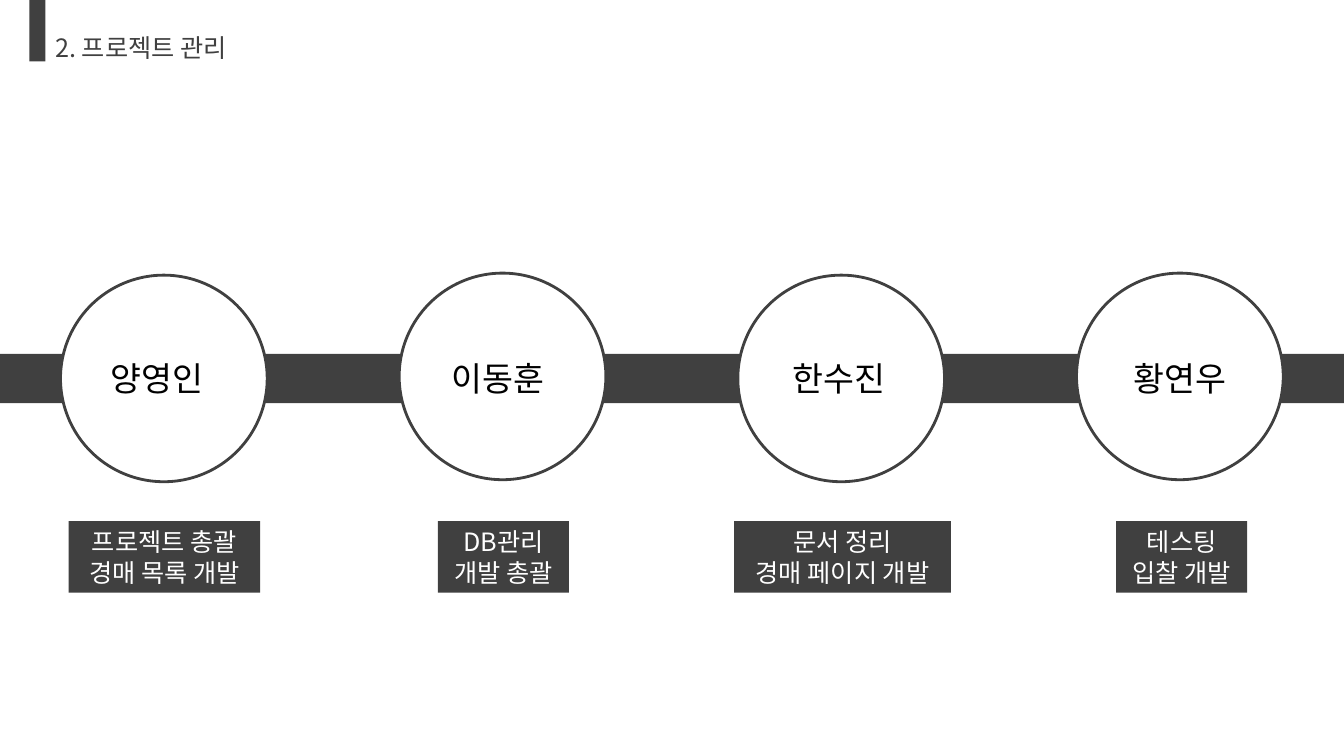
"""Build the project management slide: four members along a band, with their duties."""
from dataclasses import dataclass

import pptx
import pptx.dml.color
import pptx.enum.shapes
import pptx.enum.text
import pptx.oxml.ns
import pptx.shapes.autoshape
import pptx.slide
import pptx.util
from lxml import etree

SLIDE_WIDTH = pptx.util.Inches(13.33)
SLIDE_HEIGHT = pptx.util.Inches(7.5)
FONT = "Noto Sans CJK KR"
DARK, WHITE, BLACK = "404040", "FFFFFF", "000000"
RECTANGLE = pptx.enum.shapes.MSO_SHAPE.RECTANGLE
OVAL = pptx.enum.shapes.MSO_SHAPE.OVAL
LEFT = pptx.enum.text.PP_ALIGN.LEFT
CENTER = pptx.enum.text.PP_ALIGN.CENTER

CIRCLE_CENTER, CIRCLE_PITCH = 12.19, 25.2
NAME_LEFT, NAME_PITCH = 7.5, 25.36
DUTY_CENTER, DUTY_PITCH = 12.23, 25.23


@dataclass(frozen=True)
class Area:
    left: float
    top: float
    width: float
    height: float

    def lengths(self) -> tuple[int, int, int, int]:
        across, down = SLIDE_WIDTH / 100, SLIDE_HEIGHT / 100
        return (round(self.left * across), round(self.top * down),
                round(self.width * across), round(self.height * down))


@dataclass(frozen=True)
class Member:
    name: str
    duties: tuple[str, ...]
    circle_top: float
    duty_width: float


MEMBERS = (
    Member("양영인", ("프로젝트 총괄", "경매 목록 개발"), 36.4, 14.25),
    Member("이동훈", ("DB관리", "개발 총괄"), 36.13, 9.75),
    Member("한수진", ("문서 정리", "경매 페이지 개발"), 36.4, 16.13),
    Member("황연우", ("테스팅", "입찰 개발"), 36.13, 9.75),
)


def color(value: str) -> pptx.dml.color.RGBColor:
    return pptx.dml.color.RGBColor.from_string(value)


def add_block(page: pptx.slide.Slide, area: Area, kind=RECTANGLE, *, fill: str = DARK,
              line: str | None = None) -> pptx.shapes.autoshape.Shape:
    block = page.shapes.add_shape(kind, *area.lengths())
    block.shadow.inherit = False
    block.fill.solid()
    block.fill.fore_color.rgb = color(fill)
    if line:
        block.line.color.rgb = color(line)
        block.line.width = pptx.util.Pt(2)
    else:
        block.line.fill.background()
    return block


def write_text(box: pptx.shapes.autoshape.Shape, *lines: str, size: float = 18,
               ink: str = DARK, align=LEFT, wrap: bool = False) -> None:
    frame = box.text_frame
    frame.word_wrap = wrap
    frame.auto_size = pptx.enum.text.MSO_AUTO_SIZE.SHAPE_TO_FIT_TEXT
    for index, line in enumerate(lines):
        para = frame.add_paragraph() if index else frame.paragraphs[0]
        para.alignment = align
        span = para.add_run()
        span.text = line
        span.font.size = pptx.util.Pt(size)
        span.font.color.rgb = color(ink)
        span.font.name = FONT
        properties = span.font._element
        etree.SubElement(properties, pptx.oxml.ns.qn("a:ea"), typeface=FONT)


def add_header(page: pptx.slide.Slide) -> None:
    add_block(page, Area(2.18, 0, 1.2, 8.13))
    title = page.shapes.add_textbox(*Area(3.38, 3.6, 15.68, 5.33).lengths())
    write_text(title, "2. 프로젝트 관리")


def add_member(page: pptx.slide.Slide, column: int, member: Member) -> None:
    width, height = 15.38, 27.33
    center = CIRCLE_CENTER + column * CIRCLE_PITCH
    add_block(page, Area(center - width / 2, member.circle_top, width, height), OVAL,
              fill=WHITE, line=DARK)

    name_area = Area(NAME_LEFT + column * NAME_PITCH, 46.67, 9.45, 6.67)
    name = page.shapes.add_textbox(*name_area.lengths())
    write_text(name, member.name, size=24, ink=BLACK, wrap=True)

    center = DUTY_CENTER + column * DUTY_PITCH
    duty = add_block(page, Area(center - member.duty_width / 2, 68.93, member.duty_width, 9.47))
    write_text(duty, *member.duties, ink=WHITE, align=CENTER)


def main() -> None:
    deck = pptx.Presentation()
    deck.slide_width, deck.slide_height = SLIDE_WIDTH, SLIDE_HEIGHT
    page = deck.slides.add_slide(deck.slide_layouts[6])
    add_block(page, Area(0, 46.8, 100, 6.53))
    add_header(page)
    for column, member in enumerate(MEMBERS):
        add_member(page, column, member)
    deck.save("out.pptx")


if __name__ == "__main__":
    main()
